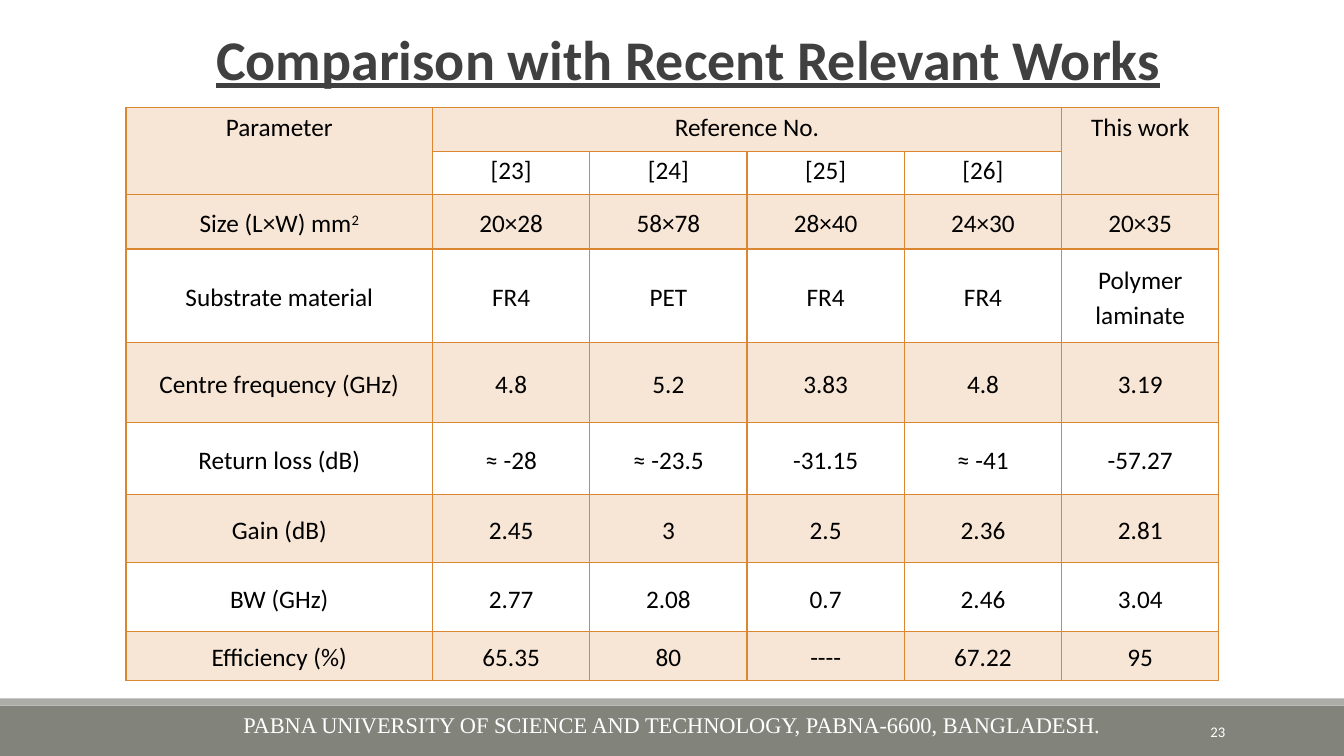
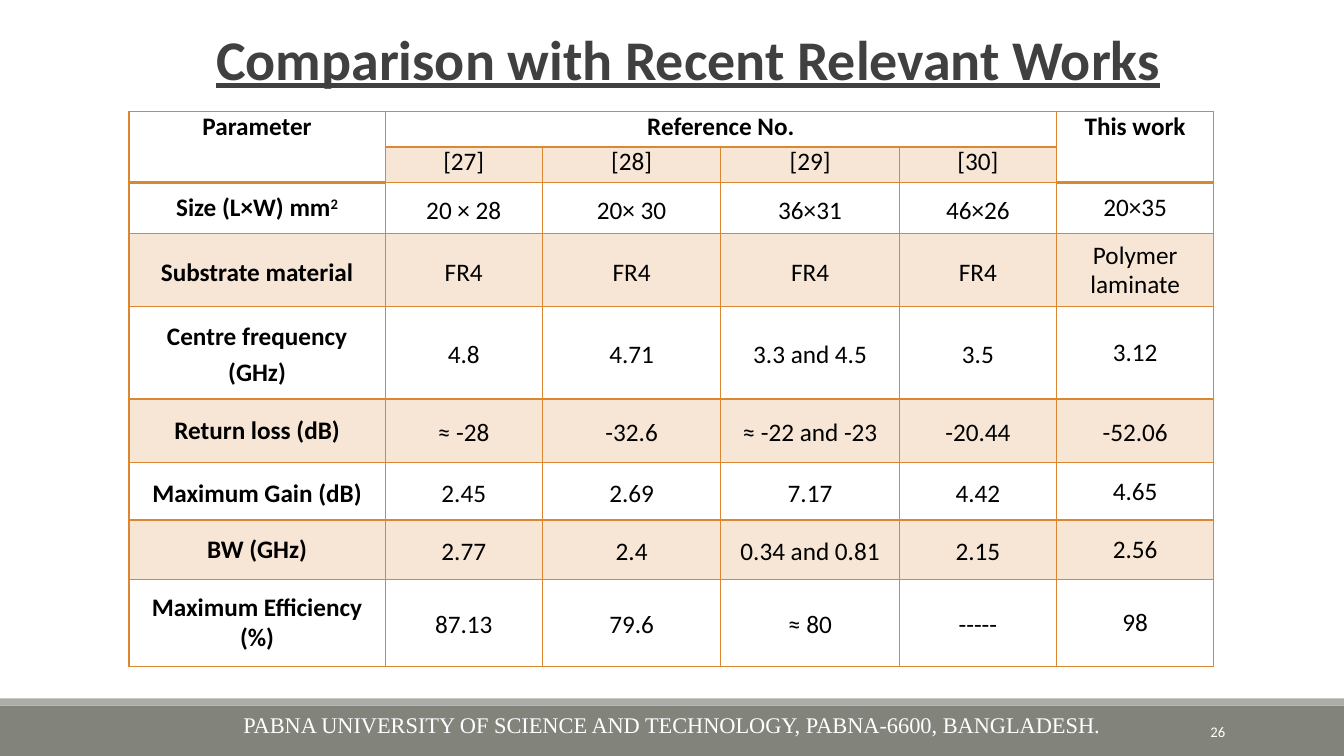
from pptx import Presentation
from pptx.dml.color import RGBColor
from pptx.enum.shapes import MSO_SHAPE
from pptx.enum.text import MSO_ANCHOR as Anchor, MSO_AUTO_SIZE as AutoSize, PP_ALIGN as Align
from pptx.util import Pt
from lxml.etree import SubElement
from pptx.oxml import parse_xml
from pptx.oxml.ns import nsdecls, qn

EMU_PER_PX = 9144
SLIDE_BOX = (0, 0, 1333, 750)

WHITE = RGBColor(0xFF, 0xFF, 0xFF)
BLACK = RGBColor(0x00, 0x00, 0x00)
TITLE_GREY = RGBColor(0x40, 0x40, 0x40)
BAND_DARK = RGBColor(0x82, 0x84, 0x7C)
BAND_LIGHT = RGBColor(0xAC, 0xAD, 0xA8)
ORANGE = RGBColor(0xDB, 0x86, 0x31)

TITLE = "Comparison with Recent Relevant Works"
FOOTER = "PABNA UNIVERSITY OF SCIENCE AND TECHNOLOGY, PABNA-6600, BANGLADESH."

TITLE_FONT = {"name": "Calibri", "size": Pt(40), "bold": True, "underline": True}
FOOTER_FONT = {"name": "Times New Roman", "size": Pt(16)}
NUMBER_FONT = {"name": "Calibri", "size": Pt(10.5)}
CELL_FONT = {"name": "Calibri", "size": Pt(18)}

ROOMY = {"alignment": Align.CENTER, "line_spacing": 1.15, "space_after": Pt(10)}
TIGHT = {"alignment": Align.CENTER, "line_spacing": 0.95, "space_after": Pt(0)}

HEADER_SPANS = [(0, 0, 1, 0), (0, 1, 0, 4), (0, 5, 1, 5)]
HEADER_EDGES = {(1, 1), (1, 2), (1, 3), (1, 4), (2, 0), (2, 5)}

FIRST_TABLE = {
    "box": (125, 107, 1083, 567),
    "columns": [304] + [156] * 5,
    "heights": [43, 43, 54, 93, 79, 72, 67, 69, 48],
    "rows": [
        ["Parameter", "Reference No.", None, None, None, "This work"],
        [None, "[23]", "[24]", "[25]", "[26]", None],
        ["Size (L×W) mm^2", "20×28", "58×78", "28×40", "24×30", "20×35"],
        ["Substrate material", "FR4", "PET", "FR4", "FR4", "Polymer laminate"],
        ["Centre frequency (GHz)", "4.8", "5.2", "3.83", "4.8", "3.19"],
        ["Return loss (dB)", "≈ -28", "≈ -23.5", "-31.15", "≈ -41", "-57.27"],
        ["Gain (dB)", "2.45", "3", "2.5", "2.36", "2.81"],
        ["BW (GHz)", "2.77", "2.08", "0.7", "2.46", "3.04"],
        ["Efficiency (%)", "65.35", "80", "----", "67.22", "95"],
    ],
    "tinted_parity": 0,
    "bold_headings": False,
    "heavy_edges": set(),
    "tight_cells": set(),
}

SECOND_TABLE = {
    "box": (128, 111, 1076, 550),
    "columns": [254, 156, 177, 177, 156, 156],
    "heights": [35, 35, 51, 72, 92, 63, 57, 59, 86],
    "rows": [
        ["Parameter", "Reference No.", None, None, None, "This work"],
        [None, "[27]", "[28]", "[29]", "[30]", None],
        ["Size (L×W) mm^2", "20 × 28", "20× 30", "36×31", "46×26", "20×35"],
        ["Substrate material", "FR4", "FR4", "FR4", "FR4", "Polymer laminate"],
        ["Centre frequency (GHz)", "4.8", "4.71", "3.3 and 4.5", "3.5", "3.12"],
        ["Return loss (dB)", "≈ -28", "-32.6", "≈ -22 and -23", "-20.44", "-52.06"],
        ["Maximum Gain (dB)", "2.45", "2.69", "7.17", "4.42", "4.65"],
        ["BW (GHz)", "2.77", "2.4", "0.34 and 0.81", "2.15", "2.56"],
        ["Maximum Efficiency (%)", "87.13", "79.6", "≈ 80", "-----", "98"],
    ],
    "tinted_parity": 1,
    "bold_headings": True,
    "heavy_edges": HEADER_EDGES,
    "tight_cells": {(row, column) for row in range(2) for column in range(6)}
    | {(row, 0) for row in (2, 5, 7, 8)}
    | {(row, 5) for row in (2, 3, 4, 6, 7, 8)},
}


def px(length):
    return length * EMU_PER_PX


def to_emu(box):
    return [px(length) for length in box]


def apply_format(target, values):
    for name, value in values.items():
        setattr(target, name, value)


def write_text(paragraph, text, font, color, layout):
    apply_format(paragraph, layout)
    base, _, superscript = text.partition("^")
    for part, raised in ((base, False), (superscript, True)):
        if part:
            run = paragraph.add_run()
            run.text = part
            apply_format(run.font, font)
            run.font.color.rgb = color
            if raised:
                run.font._element.set("baseline", "30000")


def add_band(slide, box, color):
    band = slide.shapes.add_shape(MSO_SHAPE.RECTANGLE, *to_emu(box))
    band.shadow.inherit = False
    band.fill.solid()
    band.fill.fore_color.rgb = color
    band.line.fill.background()


def add_label(slide, box, text, font, color, layout, frame_format):
    frame = slide.shapes.add_textbox(*to_emu(box)).text_frame
    apply_format(frame, {"word_wrap": True, **frame_format})
    write_text(frame.paragraphs[0], text, font, color, layout)


def add_title(slide, box):
    left, top, width, _ = box
    add_label(slide, (left + 81, top + 19, width - 130, 77), TITLE, TITLE_FONT, TITLE_GREY,
              {"alignment": Align.CENTER}, {"auto_size": AutoSize.SHAPE_TO_FIT_TEXT})


def add_footer(slide, box, number):
    left, top, width, height = box
    bottom = top + height
    middle = {"vertical_anchor": Anchor.MIDDLE}
    add_band(slide, (left, bottom - 50, width, 50), BAND_DARK)
    add_band(slide, (left, bottom - 57, width, 7), BAND_LIGHT)
    add_label(slide, (left, bottom - 75, width, 75), FOOTER, FOOTER_FONT, WHITE,
              {"alignment": Align.CENTER, "line_spacing": 1.5}, middle)
    add_label(slide, (left + width - 251, bottom - 44, 143, 40), str(number), NUMBER_FONT,
              WHITE, {"alignment": Align.RIGHT}, middle)


def fill_cell(cell, tinted):
    if not tinted:
        cell.fill.background()
        return
    cell.fill.solid()
    cell.fill.fore_color.rgb = ORANGE
    color = cell._tc.tcPr.find(qn("a:solidFill")).find(qn("a:srgbClr"))
    SubElement(color, qn("a:alpha")).set("val", "20000")


def draw_borders(cell, widths):
    properties = cell._tc.get_or_add_tcPr()
    for index, (side, width) in enumerate(widths.items()):
        properties.insert(index, parse_xml(
            f'<a:ln{side} {nsdecls("a")} w="{Pt(width)}"><a:solidFill>'
            f'<a:srgbClr val="{ORANGE}"/></a:solidFill></a:ln{side}>'))


def format_cell(cell, row, column, content):
    apply_format(cell, {
        "margin_left": px(7), "margin_right": px(7), "margin_top": 0, "margin_bottom": 0,
        "vertical_anchor": Anchor.TOP if row < 2 else Anchor.MIDDLE})
    header_row = 0 if column in (0, 5) and row < 2 else row
    fill_cell(cell, header_row % 2 == content["tinted_parity"])
    bottom = row + (cell.span_height if cell.is_merge_origin else 1)
    heavy = content["heavy_edges"]
    draw_borders(cell, {
        "L": 1, "R": 1,
        "T": 2 if (row, column) in heavy else 1,
        "B": 2 if (bottom, column) in heavy else 1})


def add_comparison(slide, content):
    rows = content["rows"]
    table = slide.shapes.add_table(
        len(rows), len(content["columns"]), *to_emu(content["box"])).table
    apply_format(table, {"first_row": False, "horz_banding": False})
    for column, width in zip(table.columns, content["columns"]):
        column.width = px(width)
    for row, height in zip(table.rows, content["heights"]):
        row.height = px(height)
    for top, left, bottom, right in HEADER_SPANS:
        table.cell(top, left).merge(table.cell(bottom, right))
    for row, texts in enumerate(rows):
        for column, text in enumerate(texts):
            cell = table.cell(row, column)
            format_cell(cell, row, column, content)
            if text:
                heading = row == 0 or column == 0
                font = {**CELL_FONT, "bold": heading and content["bold_headings"]}
                layout = TIGHT if (row, column) in content["tight_cells"] else ROOMY
                write_text(cell.text_frame.paragraphs[0], text, font, BLACK, layout)


def add_comparison_slide(presentation, number, content):
    slide = presentation.slides.add_slide(presentation.slide_layouts[6])
    add_footer(slide, SLIDE_BOX, number)
    add_title(slide, SLIDE_BOX)
    add_comparison(slide, content)


def main():
    presentation = Presentation()
    apply_format(presentation, {
        "slide_width": px(SLIDE_BOX[2]), "slide_height": px(SLIDE_BOX[3])})
    for number, content in ((23, FIRST_TABLE), (26, SECOND_TABLE)):
        add_comparison_slide(presentation, number, content)
    presentation.save("out.pptx")


if __name__ == "__main__":
    main()
